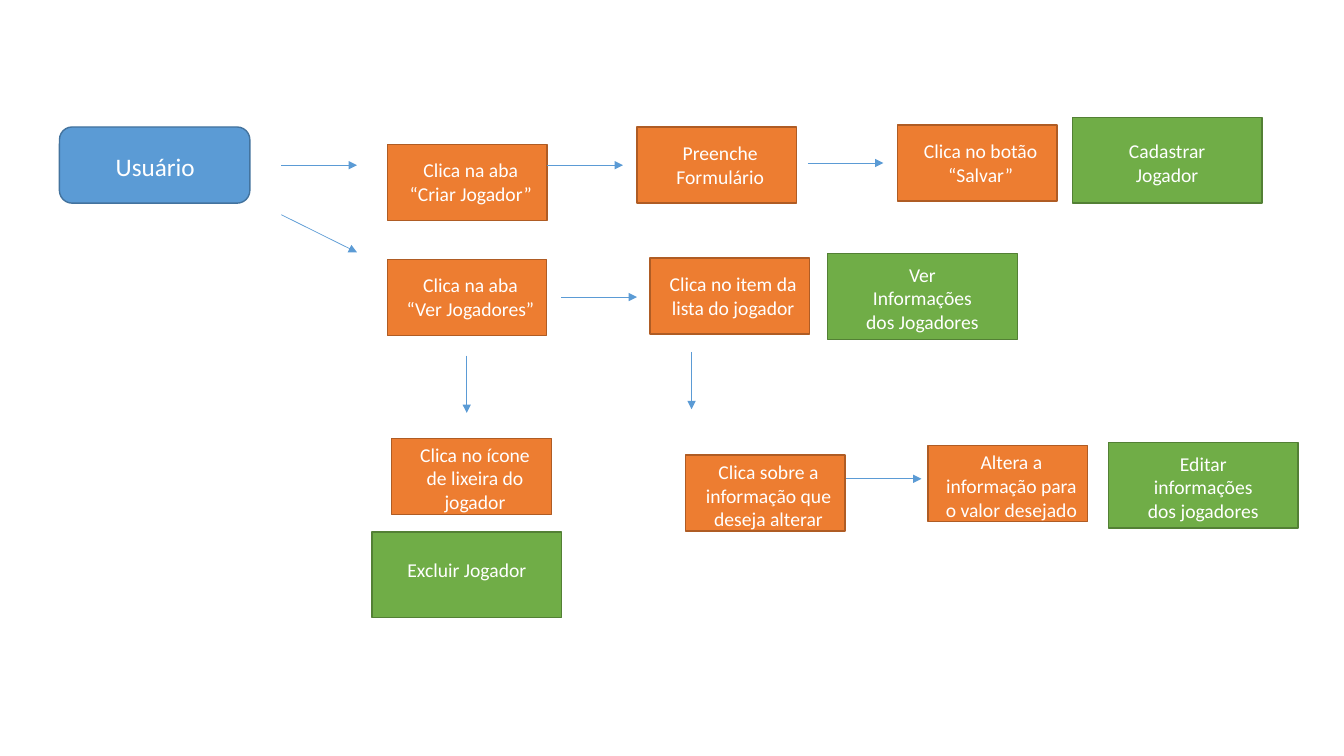
import pptx
import pptx.util
import pptx.dml.color
import pptx.enum.shapes
import pptx.enum.text
from lxml import etree
from pptx.oxml.ns import qn

Pt = pptx.util.Pt
RGBColor = pptx.dml.color.RGBColor
MSO_SHAPE = pptx.enum.shapes.MSO_SHAPE
PP_ALIGN = pptx.enum.text.PP_ALIGN

BLUE, BLUE_EDGE = RGBColor(0x5B, 0x9B, 0xD5), RGBColor(0x43, 0x73, 0x9E)
ORANGE, ORANGE_EDGE = RGBColor(0xED, 0x7D, 0x31), RGBColor(0xAF, 0x5C, 0x24)
GREEN, GREEN_EDGE = RGBColor(0x70, 0xAD, 0x47), RGBColor(0x53, 0x80, 0x35)
WHITE = RGBColor(0xFF, 0xFF, 0xFF)

# Left, top, distance from box top to text, wording
STEPS = [
    (276.8, 103, 10, "Clica na aba “Criar Jogador”"),
    (455, 90.7, 10, "Preenche Formulário"),
    (641, 89.2, 10, "Clica no botão “Salvar”"),
    (276.6, 185.2, 10, "Clica na aba “Ver Jogadores”"),
    (464.2, 184.2, 10, "Clica no item da lista do jogador"),
    (279.8, 313.2, 3, "Clica no ícone de lixeira do jogador"),
    (489.5, 325, 3.5, "Clica sobre a informação que deseja alterar"),
    (663, 318.2, 3.5, "Altera a informação para o valor desejado"),
]
RESULTS = [
    (766, 83.8, 15.5, "Cadastrar Jogador"),
    (591.2, 181.2, 6.5, "Ver Informações dos Jogadores"),
    (791.8, 316, 6.5, "Editar informações dos jogadores"),
    (265.8, 380, 18.6, "Excluir Jogador"),
]
# Start x, start y, run, rise
ARROWS = [
    (201, 118, 54, 0),
    (391, 118, 54, 0),
    (577, 116.4, 54, 0),
    (201, 153.4, 54, 26.8),
    (401, 212.2, 54, 0),
    (604.2, 342, 54, 0),
    (333.4, 254, 0, 41),
    (494, 251.3, 0, 41),
]


def add_box(s, kind, box, fill, edge, text, size, margins, align):
    sp = s.shapes.add_shape(kind, *(Pt(v) for v in box))
    sp.shadow.inherit = False
    sp.fill.solid()
    sp.fill.fore_color.rgb = fill
    sp.line.color.rgb = edge
    sp.line.width = Pt(1)
    tf = sp.text_frame
    tf.word_wrap = True
    tf.vertical_anchor = pptx.enum.text.MSO_ANCHOR.TOP
    tf.margin_left, tf.margin_top, tf.margin_right = (Pt(v) for v in margins)
    tf.margin_bottom = 0
    p = tf.paragraphs[0]
    p.text = text
    p.alignment = align
    p.font.name = "Calibri"
    p.font.size = Pt(size)
    p.font.color.rgb = WHITE


def add_step(s, x, y, text_top, text):
    add_box(s, MSO_SHAPE.RECTANGLE, (x, y, 114, 54.4), ORANGE, ORANGE_EDGE,
            text, 14, (12, text_top, 7), PP_ALIGN.CENTER)


def add_result(s, x, y, text_top, text):
    add_box(s, MSO_SHAPE.RECTANGLE, (x, y, 135.4, 61.2), GREEN, GREEN_EDGE,
            text, 14, (23, text_top, 23), PP_ALIGN.CENTER)


def add_arrow(s, x, y, dx, dy):
    c = s.shapes.add_connector(pptx.enum.shapes.MSO_CONNECTOR.STRAIGHT,
                               Pt(x), Pt(y), Pt(x + dx), Pt(y + dy))
    c.line.color.rgb = BLUE
    c.line.width = Pt(0.5)
    etree.SubElement(c.line._get_or_add_ln(), qn("a:tailEnd"), type="triangle")
    etree.SubElement(c._element.spPr, qn("a:effectLst"))


def main():
    prs = pptx.Presentation()
    prs.slide_width, prs.slide_height = Pt(960), Pt(540)
    s = prs.slides.add_slide(prs.slide_layouts[6])

    # Starting point
    add_box(s, MSO_SHAPE.ROUNDED_RECTANGLE, (42.5, 90.7, 136, 54.4), BLUE,
            BLUE_EDGE, "Usuário", 18, (37.5, 15, 7), PP_ALIGN.LEFT)

    # User steps and the outcomes they lead to
    for step in STEPS:
        add_step(s, *step)
    for result in RESULTS:
        add_result(s, *result)

    # Flow
    for arrow in ARROWS:
        add_arrow(s, *arrow)

    prs.save("out.pptx")


if __name__ == "__main__":
    main()
